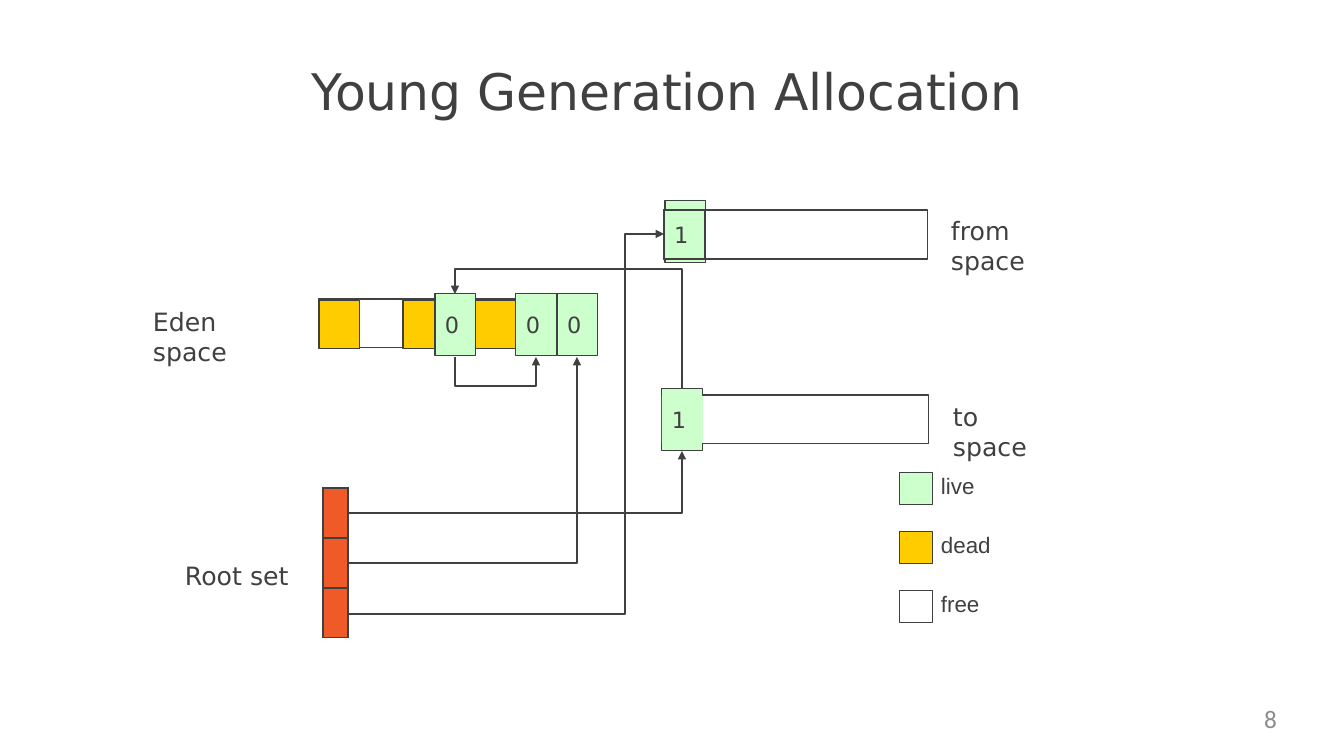
from lxml import etree
from pptx import Presentation
from pptx.dml.color import RGBColor
from pptx.enum.shapes import MSO_SHAPE
from pptx.enum.text import MSO_ANCHOR, PP_ALIGN
from pptx.oxml.ns import qn
from pptx.util import Emu, Pt

RECTANGLE = MSO_SHAPE.RECTANGLE
TOP, MIDDLE = MSO_ANCHOR.TOP, MSO_ANCHOR.MIDDLE
LEFT, RIGHT = PP_ALIGN.LEFT, PP_ALIGN.RIGHT

EMU_PER_PX = 914400 / 100.8
COLORS = {
    "ink": "404040",
    "live": "CCFFCC",
    "dead": "FFCC00",
    "root": "F05A28",
    "page": "8C8C8C",
}
CELL_WIDTH = 41
LIVE_HEIGHT = 62
SPACE_WIDTH, SPACE_HEIGHT = 264, 49


def px(value):
    return Emu(round(value * EMU_PER_PX))


def color(name):
    return RGBColor.from_string(COLORS[name])


def write(shape, text, size, font="DejaVu Sans", ink="ink", align=LEFT, anchor=TOP, indent=0):
    frame = shape.text_frame
    frame.word_wrap = True
    frame.vertical_anchor = anchor
    frame.margin_left = px(indent)
    frame.margin_right = frame.margin_top = frame.margin_bottom = 0
    paragraph = frame.paragraphs[0]
    paragraph.text = text
    paragraph.alignment = align
    paragraph.font.name = font
    paragraph.font.size = Pt(size)
    paragraph.font.color.rgb = color(ink)


def add_label(slide, text, left, top, width, height, size, **style):
    box = slide.shapes.add_textbox(px(left), px(top), px(width), px(height))
    write(box, text, size, **style)


def add_block(slide, left, top, width, height, fill=None, outlined=True, text=""):
    shape = slide.shapes.add_shape(RECTANGLE, px(left), px(top), px(width), px(height))
    shape.shadow.inherit = False
    if fill:
        shape.fill.solid()
        shape.fill.fore_color.rgb = color(fill)
    else:
        shape.fill.background()
    if outlined:
        shape.line.color.rgb = color("ink")
        shape.line.width = Pt(0.75)
    else:
        shape.line.fill.background()
    if text:
        write(shape, text, 16, anchor=MIDDLE, indent=10)


def add_live_object(slide, left, top, age=""):
    add_block(slide, left, top, CELL_WIDTH, LIVE_HEIGHT, "live", text=age)


def add_reference(slide, points):
    start, *rest = [(px(x), px(y)) for x, y in points]
    builder = slide.shapes.build_freeform(*start)
    builder.add_line_segments(rest, close=False)
    shape = builder.convert_to_shape()
    shape.shadow.inherit = False
    shape.fill.background()
    shape.line.color.rgb = color("ink")
    shape.line.width = Pt(1)
    etree.SubElement(shape.line._get_or_add_ln(), qn("a:tailEnd"), type="triangle")


def add_cell_borders(cell):
    properties = cell._tc.get_or_add_tcPr()
    for side in ("a:lnL", "a:lnR", "a:lnT", "a:lnB"):
        border = etree.SubElement(properties, qn(side), w=str(Pt(1)))
        fill = etree.SubElement(border, qn("a:solidFill"))
        etree.SubElement(fill, qn("a:srgbClr"), val=COLORS["ink"])


def add_root_set(slide, left, top, width, row_height, rows):
    table = slide.shapes.add_table(
        rows, 1, px(left), px(top), px(width), px(row_height * rows)
    ).table
    table.columns[0].width = px(width)
    for row in table.rows:
        row.height = px(row_height)
        cell = row.cells[0]
        cell.margin_left = cell.margin_right = 0
        add_cell_borders(cell)
        cell.fill.solid()
        cell.fill.fore_color.rgb = color("root")


def add_eden_space(slide):
    add_block(slide, 319, 299, SPACE_WIDTH, SPACE_HEIGHT)
    for left in (319, 403, 476):
        add_block(slide, left, 301, CELL_WIDTH, 48, "dead")
    for left in (435, 516, 557):
        add_live_object(slide, left, 294, "0")
    add_label(slide, "Eden space", 153, 306, 90, 62, 18)


def add_survivor_spaces(slide):
    add_block(slide, 665, 395, SPACE_WIDTH, SPACE_HEIGHT)
    add_live_object(slide, 662, 389)
    add_block(slide, 662, 396, CELL_WIDTH, 47, "live", outlined=False, text="1")
    add_label(slide, "to space", 953, 401, 90, 62, 18)

    add_live_object(slide, 665, 201)
    add_block(slide, 664, 210, SPACE_WIDTH, SPACE_HEIGHT)
    add_block(slide, 664, 210, CELL_WIDTH, SPACE_HEIGHT, "live", text="1")
    add_label(slide, "from space", 951, 215, 90, 62, 18)


def add_legend(slide):
    for index, (name, fill) in enumerate((("live", "live"), ("dead", "dead"), ("free", None))):
        top = 473 + 59 * index
        add_block(slide, 900, top, 33, 32, fill)
        add_label(slide, name, 941, top - 1, 70, 27, 16, font="Arial")


def main():
    presentation = Presentation()
    presentation.slide_width = px(1344)
    presentation.slide_height = px(756)
    slide = presentation.slides.add_slide(presentation.slide_layouts[6])

    add_label(slide, "Young Generation Allocation", 311, 60, 760, 64, 36)
    add_eden_space(slide)
    add_survivor_spaces(slide)
    add_root_set(slide, 323, 488, 25, 50, 3)
    add_label(slide, "Root set", 185, 560, 120, 33, 18)
    for points in (
        [(348, 513), (682, 513), (682, 451)],
        [(348, 563), (577, 563), (577, 357)],
        [(348, 614), (625, 614), (625, 234), (664, 234)],
        [(455, 357), (455, 386), (536, 386), (536, 357)],
        [(682, 389), (682, 269), (455, 269), (455, 294)],
    ):
        add_reference(slide, points)
    add_legend(slide)
    add_label(slide, "8", 968, 703, 309, 38, 18, font="Calibri", ink="page", align=RIGHT)

    presentation.save("out.pptx")


if __name__ == "__main__":
    main()
